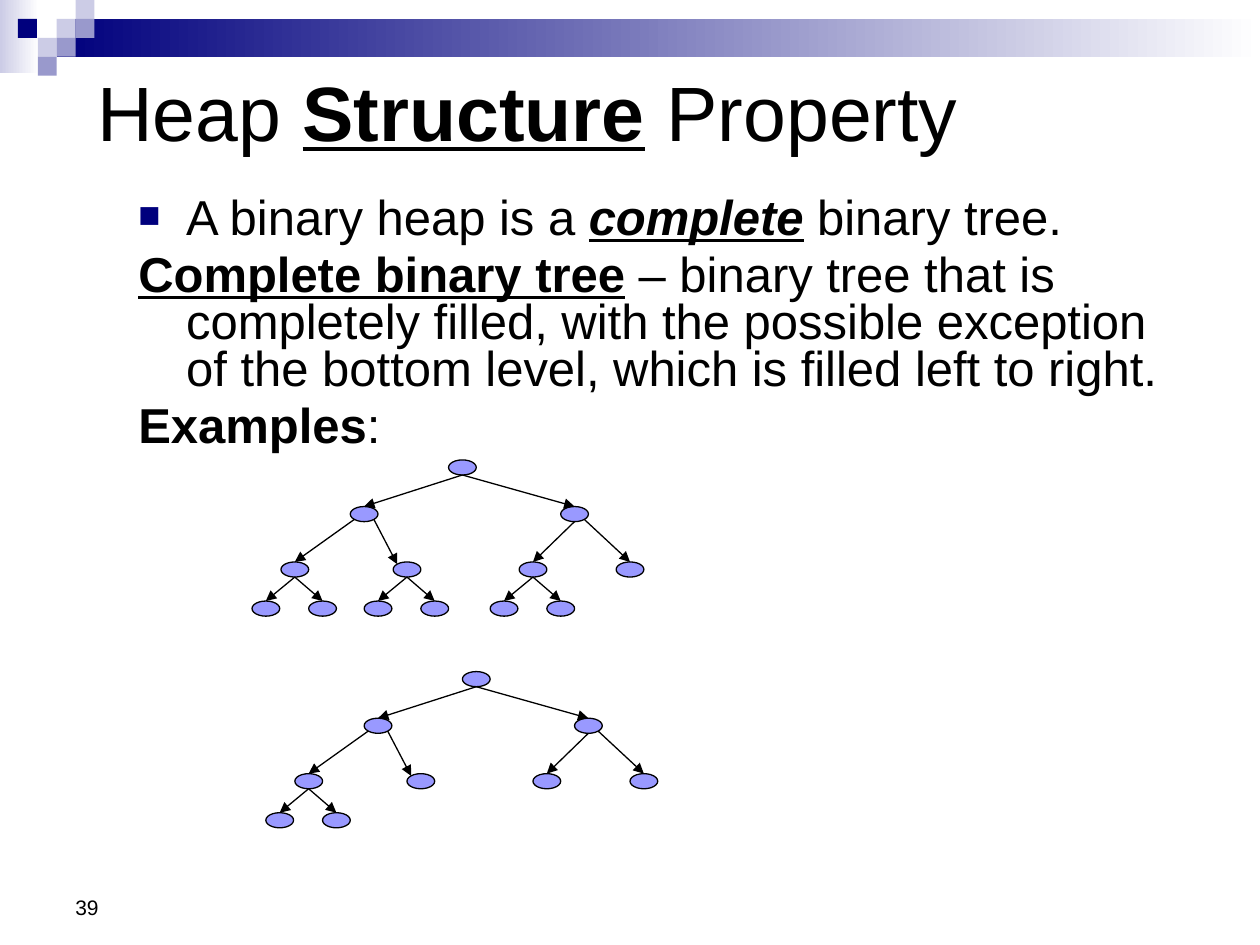
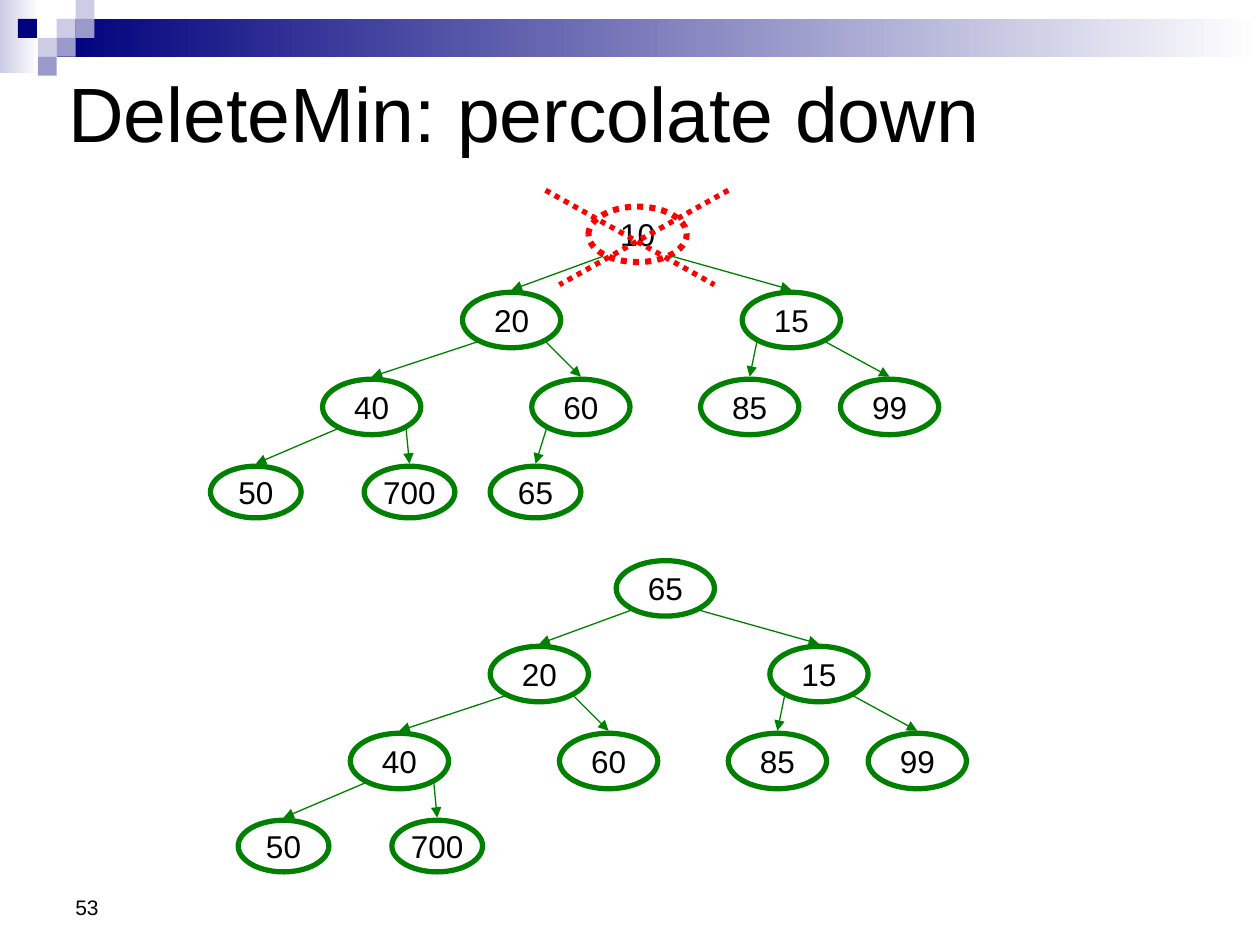
from lxml import etree
from pptx import Presentation
from pptx.dml.color import RGBColor
from pptx.enum.dml import MSO_LINE
from pptx.enum.shapes import MSO_CONNECTOR, MSO_SHAPE
from pptx.enum.text import MSO_ANCHOR, MSO_AUTO_SIZE, PP_ALIGN
from pptx.oxml.ns import qn
from pptx.util import Inches, Pt

DOTTED = MSO_LINE.ROUND_DOT
MIDDLE, BOTTOM = MSO_ANCHOR.MIDDLE, MSO_ANCHOR.BOTTOM
LEFT, CENTER = PP_ALIGN.LEFT, PP_ALIGN.CENTER
TITLE_ONLY = 5
FONT = "Arial"
COLORS = {
    "text": "000000", "navy": "00007D", "pale": "CCCCE6", "mid": "9999CC",
    "white": "FFFFFF", "node": "9999FF", "green": "008000", "red": "FF0000",
}

# Runs are (text, style letters): b bold, i italic, u underlined.
STRUCTURE = {
    "number": "39",
    "title": [("Heap ", ""), ("Structure", "bu"), (" Property", "")],
    "title_at": (0.67, 0.5, 8.5, 0.75),
}
PERCOLATE = {
    "number": "53",
    "title": [("DeleteMin: percolate down", "")],
    "title_at": (0.44, 0.51, 9.22, 0.75),
}
DEFINITION = [
    [("A binary heap is a ", ""), ("complete", "biu"), (" binary tree.", "")],
    [("Complete binary tree", "bu"),
     (" – binary tree that is completely filled, with the possible exception "
      "of the bottom level, which is filled left to right.", "")],
    [("Examples", "b"), (":", "")],
]

# Trees are arrays in level order: the children of i are 2i + 1 and 2i + 2.
# "across" holds each node's centre relative to the root, "down" each level's top.
PLAIN_TREE = {
    "across": [0, -0.78, 0.89, -1.33, -0.44, 0.56, 1.33,
               -1.56, -1.11, -0.67, -0.22, 0.33, 0.78],
    "down": [0, 0.37, 0.81, 1.12],
    "size": (0.22, 0.12), "leaf_size": (0.22, 0.12),
    "from_bottom": {1, 2, 5, 7, 8, 9, 10, 11, 12}, "to_corner": {4},
    "fill": "node", "line": "text", "weight": 0.75, "gap": 0,
}
LABELLED_TREE = {
    "across": [0, -1, 1.22, -2.11, -0.45, 0.89, 2, -3.03, -1.81, -0.81],
    "down": [0, 0.68, 1.37, 2.06],
    "size": (0.78, 0.44), "leaf_size": (0.72, 0.41),
    "from_bottom": set(), "to_corner": set(),
    "fill": None, "line": "green", "weight": 3, "gap": 0.02,
}
COMPLETE_HEAPS = [((3.67, 3.65), [""] * 13), ((3.78, 5.33), [""] * 9)]
BEFORE = ((5.06, 1.64), "10 20 15 40 60 85 99 50 700 65".split())
AFTER = ((5.28, 4.45), "65 20 15 40 60 85 99 50 700".split())
CROSS_OUT = [((4.33, 1.51), (5.67, 2.26)), ((5.78, 1.51), (4.44, 2.26))]

TILE = 0.15
BANDS = [((0, 0, 0.31, 0.58), "pale"), ((0.45, TILE, 9.55, 2 * TILE), "navy")]
TILES = [(3, 1, "pale"), (4, 0, "pale"), (4, 1, "mid"), (2, 2, "pale"),
         (0.95, 1, "navy"), (3, 2, "mid"), (2, 3, "mid")]  # column, row, colour


def color(name):
    return RGBColor.from_string(COLORS[name])


def inches(values):
    return [Inches(value) for value in values]


def add_preset(slide, preset, box, fill=None):
    shape = slide.shapes.add_shape(preset, *inches(box))
    shape.shadow.inherit = False
    shape.line.fill.background()
    if fill:
        shape.fill.solid()
        shape.fill.fore_color.rgb = color(fill)
    else:
        shape.fill.background()
    return shape


def add_line(slide, start, end, line, weight, arrow=True):
    connector = slide.shapes.add_connector(MSO_CONNECTOR.STRAIGHT, *inches(start + end))
    connector.line.color.rgb = color(line)
    connector.line.width = Pt(weight)
    if arrow:
        etree.SubElement(connector.line._get_or_add_ln(), qn("a:tailEnd"), type="triangle")
    etree.SubElement(connector.element.spPr, qn("a:effectLst"))
    return connector


def write(paragraph, runs, size, align=LEFT):
    paragraph.alignment = align
    paragraph.font.name = FONT
    paragraph.font.size = Pt(size)
    paragraph.font.color.rgb = color("text")
    for text, style in runs:
        run = paragraph.add_run()
        run.text = text
        if "b" in style:
            run.font.bold = True
        if "i" in style:
            run.font.italic = True
        if "u" in style:
            run.font.underline = True


def decorate_master(prs, slide):
    """Draw the top band and tiles on a slide, then hand them to the master."""
    parts = []
    for box, start in BANDS:
        band = add_preset(slide, MSO_SHAPE.RECTANGLE, box)
        band.fill.gradient()
        band.fill.gradient_angle = 0
        for stop, name in zip(band.fill.gradient_stops, (start, "white")):
            stop.color.rgb = color(name)
        parts.append(band)
    for column, row, name in TILES:
        box = (column * TILE, row * TILE, TILE, TILE)
        parts.append(add_preset(slide, MSO_SHAPE.RECTANGLE, box, name))
    for part in parts:
        prs.slide_master.shapes.element.append(part.element)


def add_slide(prs, content):
    slide = prs.slides.add_slide(prs.slide_layouts[TITLE_ONLY])
    title = slide.shapes.title
    title.left, title.top, title.width, title.height = inches(content["title_at"])
    title.text_frame.auto_size = MSO_AUTO_SIZE.NONE
    title.text_frame.vertical_anchor = MIDDLE
    write(title.text_frame.paragraphs[0], content["title"], 44)

    number = slide.shapes.add_textbox(*inches((0.5, 6.83, 2.33, 0.52))).text_frame
    number.word_wrap = True
    number.vertical_anchor = BOTTOM
    write(number.paragraphs[0], [(content["number"], "")], 12)
    return slide


def add_bullet(paragraph):
    properties = paragraph._p.get_or_add_pPr()
    tint = etree.SubElement(properties, qn("a:buClr"))
    etree.SubElement(tint, qn("a:srgbClr"), val=COLORS["navy"])
    etree.SubElement(properties, qn("a:buSzPct"), val="75000")
    etree.SubElement(properties, qn("a:buFont"), typeface=FONT)
    etree.SubElement(properties, qn("a:buChar"), char="■")


def add_definition(slide):
    frame = slide.shapes.add_textbox(*inches((1, 1.52, 8.5, 2.23))).text_frame
    frame.word_wrap = True
    for index, runs in enumerate(DEFINITION):
        paragraph = frame.add_paragraph() if index else frame.paragraphs[0]
        properties = paragraph._p.get_or_add_pPr()
        properties.set("marL", str(Inches(0.38)))
        properties.set("indent", str(-Inches(0.38)))
        if index:
            paragraph.space_before = Pt(5.6)
        else:
            add_bullet(paragraph)
        paragraph.line_spacing = 0.8
        write(paragraph, runs, 28)


def add_tree(slide, style, root, labels):
    """Draw a heap from its level-order labels and return its nodes."""
    nodes, boxes = [], []
    for index, label in enumerate(labels):
        level = (index + 1).bit_length() - 1
        width, height = style["leaf_size" if level == 3 else "size"]
        center = root[0] + style["across"][index]
        top = root[1] + style["down"][level]
        boxes.append((center, top, width, height))
        node = add_preset(slide, MSO_SHAPE.OVAL,
                          (center - width / 2, top, width, height), style["fill"])
        node.line.color.rgb = color(style["line"])
        node.line.width = Pt(style["weight"])
        if label:
            node.text_frame.word_wrap = False
            node.text_frame.vertical_anchor = MIDDLE
            write(node.text_frame.paragraphs[0], [(label, "")], 18, CENTER)
        nodes.append(node)

    for child in range(1, len(labels)):
        center, top, width, height = boxes[(child - 1) // 2]
        side = -1 if child % 2 else 1
        if child in style["from_bottom"]:
            start = (center, top + height)
        else:
            start = (center + side * 0.35 * width, top + 0.85 * height + style["gap"])
        center, top, width, height = boxes[child]
        if child in style["to_corner"]:
            end = (center - 0.35 * width, top + 0.15 * height)
        else:
            end = (center, top - style["gap"])
        add_line(slide, start, end, style["line"], 0.75)
    return nodes


def main():
    prs = Presentation()
    prs.slide_width, prs.slide_height = inches((10, 7.5))

    structure = add_slide(prs, STRUCTURE)
    decorate_master(prs, structure)
    add_definition(structure)
    for root, labels in COMPLETE_HEAPS:
        add_tree(structure, PLAIN_TREE, root, labels)

    percolate = add_slide(prs, PERCOLATE)
    deleted = add_tree(percolate, LABELLED_TREE, *BEFORE)[0]
    deleted.line.color.rgb = color("red")
    deleted.line.width = Pt(3.5)
    deleted.line.dash_style = DOTTED
    for start, end in CROSS_OUT:
        stroke = add_line(percolate, start, end, "red", 3, arrow=False)
        stroke.line.dash_style = DOTTED
    add_tree(percolate, LABELLED_TREE, *AFTER)

    prs.save("out.pptx")


if __name__ == "__main__":
    main()
